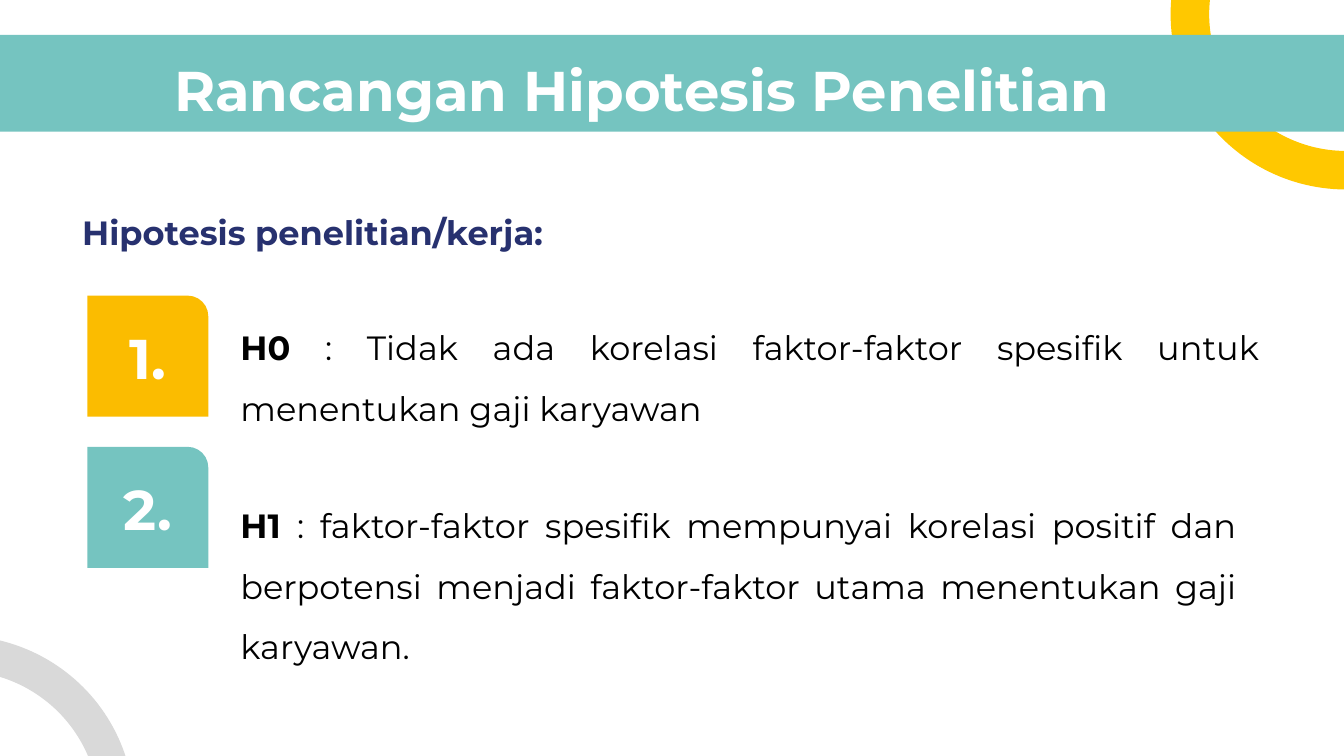
"""Build the research hypothesis slide with its title band, arcs and two numbered statements."""
from dataclasses import dataclass

from pptx import Presentation
from pptx.dml.color import RGBColor
from pptx.enum.shapes import MSO_SHAPE as Shape
from pptx.enum.text import MSO_ANCHOR as Anchor, PP_ALIGN as Align
from pptx.slide import Slide
from pptx.util import Emu, Pt

EMU_PER_PX = 4572


@dataclass(frozen=True)
class Theme:
    font: str = "Montserrat"
    teal: str = "75C4C0"
    yellow: str = "FFC800"
    amber: str = "FBBC00"
    grey: str = "D9D9D9"
    navy: str = "27316F"
    white: str = "FFFFFF"
    black: str = "000000"
    big: int = 30
    body: int = 18


THEME = Theme()


@dataclass(frozen=True)
class Box:
    x: int
    y: int
    w: int
    h: int

    def emu(self) -> list[Emu]:
        return [Emu(v * EMU_PER_PX) for v in (self.x, self.y, self.w, self.h)]


@dataclass(frozen=True)
class Figure:
    box: Box
    kind: Shape
    color: str
    adjust: tuple[float, ...] = ()
    rotation: int = 0


@dataclass(frozen=True)
class Label:
    box: Box
    bold: str
    plain: str = ""
    size: int = THEME.body
    color: str = THEME.black
    align: Align = Align.LEFT
    anchor: Anchor = Anchor.MIDDLE
    pad_y: int = 20
    spacing: float = 1.0
    after: int = 0


@dataclass(frozen=True)
class Badge:
    y: int
    text: str
    color: str


FIGURES = (
    Figure(Box(1742, -240, 522, 522), Shape.BLOCK_ARC, THEME.yellow, (108.21, 165.56, 0.11), 270),
    Figure(Box(-34, 52, 2068, 144), Shape.RECTANGLE, THEME.teal),
    Figure(Box(-322, 946, 522, 522), Shape.BLOCK_ARC, THEME.grey, (175.07, 215.56, 0.1), 345),
)
LABELS = (
    Label(Box(240, 62, 1692, 126), "Rancangan Hipotesis Penelitian",
          size=THEME.big, color=THEME.white, anchor=Anchor.TOP),
    Label(Box(338, 510, 1556, 74), "H0",
          " : Tidak ada korelasi faktor-faktor spesifik untuk menentukan gaji karyawan",
          align=Align.JUSTIFY, spacing=1.5),
    Label(Box(92, 316, 736, 60), "Hipotesis penelitian/kerja:",
          color=THEME.navy, align=Align.RIGHT),
    Label(Box(338, 712, 1522, 282), "H1 ",
          ": faktor-faktor spesifik mempunyai korelasi positif dan berpotensi menjadi "
          "faktor-faktor utama menentukan gaji karyawan.",
          align=Align.JUSTIFY, anchor=Anchor.TOP, pad_y=10, spacing=1.5, after=8),
)
BADGES = (Badge(440, "1.", THEME.amber), Badge(665, "2.", THEME.teal))


def draw_figure(s: Slide, fig: Figure) -> None:
    sp = s.shapes.add_shape(fig.kind, *fig.box.emu())
    for i, value in enumerate(fig.adjust):
        sp.adjustments[i] = value
    sp.rotation = fig.rotation
    sp.shadow.inherit = False
    sp.fill.solid()
    sp.fill.fore_color.rgb = RGBColor.from_string(fig.color)
    sp.line.fill.background()


def draw_label(s: Slide, label: Label) -> None:
    tf = s.shapes.add_textbox(*label.box.emu()).text_frame
    tf.word_wrap = True
    tf.vertical_anchor = label.anchor
    tf.margin_left = tf.margin_right = Emu(20 * EMU_PER_PX)
    tf.margin_top = tf.margin_bottom = Emu(label.pad_y * EMU_PER_PX)
    p = tf.paragraphs[0]
    p.text = label.bold
    if label.plain:
        p.add_run().text = label.plain
    p.alignment = label.align
    p.line_spacing = label.spacing
    p.space_after = Pt(label.after)
    for i, r in enumerate(p.runs):
        r.font.name = THEME.font
        r.font.size = Pt(label.size)
        r.font.bold = i == 0
        r.font.color.rgb = RGBColor.from_string(label.color)


def draw_badge(s: Slide, badge: Badge) -> None:
    draw_figure(s, Figure(Box(130, badge.y, 180, 180), Shape.ROUND_1_RECTANGLE,
                          badge.color, (0.17,)))
    draw_label(s, Label(Box(130, badge.y + 25, 180, 132), badge.text,
                        size=THEME.big, color=THEME.white, align=Align.CENTER))


def main() -> None:
    prs = Presentation()
    prs.slide_width = Emu(2000 * EMU_PER_PX)
    prs.slide_height = Emu(1125 * EMU_PER_PX)
    s = prs.slides.add_slide(prs.slide_layouts[6])
    for fig in FIGURES:
        draw_figure(s, fig)
    for label in LABELS:
        draw_label(s, label)
    for badge in BADGES:
        draw_badge(s, badge)
    prs.save("out.pptx")


if __name__ == "__main__":
    main()
